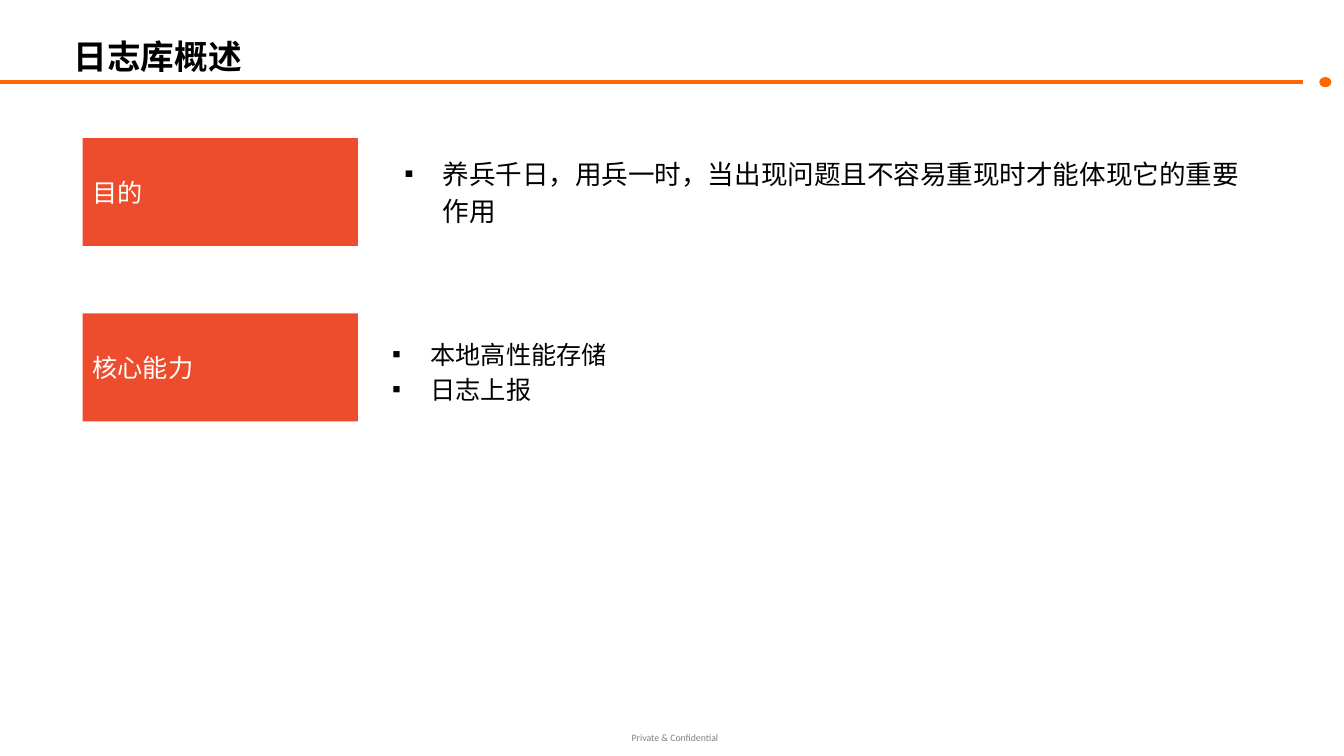
from lxml.etree import SubElement
from pptx import Presentation
from pptx.dml.color import RGBColor
from pptx.enum.shapes import MSO_CONNECTOR as Link, MSO_SHAPE as Shape
from pptx.enum.text import MSO_ANCHOR as Anchor, MSO_AUTO_SIZE as Fit, PP_ALIGN as Align
from pptx.oxml.ns import qn
from pptx.util import Inches, Pt

ORANGE, RED, BLACK, WHITE, GRAY = "FF6600", "EE4D2D", "000000", "FFFFFF", "808080"


def color(code):
    return RGBColor.from_string(code)


def bullet(para, left):
    props = para._p.get_or_add_pPr()
    props.set("marL", str(Inches(left)))
    props.set("indent", str(Inches(-0.38)))
    tint = SubElement(props, qn("a:buClr"))
    SubElement(tint, qn("a:srgbClr")).set("val", BLACK)
    SubElement(props, qn("a:buFont")).set("typeface", "Arial")
    SubElement(props, qn("a:buChar")).set("char", "▪")


def write(shape, text, size=18, font="Arial", ink=BLACK, bold=False, align=Align.LEFT,
          anchor=Anchor.TOP, inset=0.05, space=1.0, indent=None):
    frame = shape.text_frame
    frame.word_wrap = True
    frame.auto_size = Fit.NONE
    frame.vertical_anchor = anchor
    frame.margin_left = frame.margin_right = Inches(inset)
    frame.margin_top = frame.margin_bottom = Inches(min(inset, 0.06))
    frame.text = text
    for para in frame.paragraphs:
        if indent:
            bullet(para, indent)
        para.alignment = align
        para.line_spacing = space
        para.font.size = Pt(size)
        para.font.name = font
        para.font.bold = bold
        para.font.color.rgb = color(ink)


def block(slide, kind, box, fill):
    shape = slide.shapes.add_shape(kind, *map(Inches, box))
    shape.shadow.inherit = False
    shape.fill.solid()
    shape.fill.fore_color.rgb = color(fill)
    shape.line.fill.background()
    return shape


def header(slide, left, top, width, height):
    rule = top + 0.61
    line = slide.shapes.add_connector(
        Link.STRAIGHT, Inches(0), Inches(rule), Inches(12.92), Inches(rule))
    line.line.color.rgb = color(ORANGE)
    line.line.width = Pt(3)
    SubElement(line._element.spPr, qn("a:effectLst"))
    dot = block(slide, Shape.OVAL, (13.09, rule - 0.04, 0.11, 0.09), ORANGE)
    dot.line.color.rgb = color(ORANGE)
    dot.line.width = Pt(0.75)
    title = slide.shapes.title
    title.left, title.top = Inches(left), Inches(top)
    title.width, title.height = Inches(width), Inches(height)
    write(title, "日志库概述", size=24, font="Calibri", bold=True,
          anchor=Anchor.BOTTOM, inset=0.06, space=0.9)


def topic(slide, left, top, width, height, name, text, drop, **style):
    label = block(slide, Shape.RECTANGLE, (left, top, 2.73, height), RED)
    write(label, name, ink=WHITE, anchor=Anchor.MIDDLE, inset=0.1)
    start = 3.02
    body = slide.shapes.add_textbox(
        *map(Inches, (left + start, top + drop, width - start, height)))
    write(body, text, space=1.15, **style)


def footer(slide, *box):
    note = slide.shapes.add_textbox(*map(Inches, box))
    write(note, "Private & Confidential", size=7, font="Calibri", ink=GRAY,
          align=Align.CENTER, inset=0.03)


def main():
    deck = Presentation()
    deck.slide_width, deck.slide_height = Inches(13.33), Inches(7.5)
    slide = deck.slides.add_slide(deck.slide_layouts[5])
    header(slide, 0.67, 0.2, 11.98, 0.62)
    topic(slide, 0.82, 1.37, 11.59, 1.07, "目的",
          "养兵千日，用兵一时，当出现问题且不容易重现时才能体现它的重要作用",
          0.1, size=19, font="Calibri", indent=0.5)
    topic(slide, 0.82, 3.11, 11.59, 1.07, "核心能力",
          "本地高性能存储\n日志上报", 0.16, indent=0.38)
    footer(slide, 1.68, 7.23, 10.03, 0.19)
    deck.save("out.pptx")


if __name__ == "__main__":
    main()
